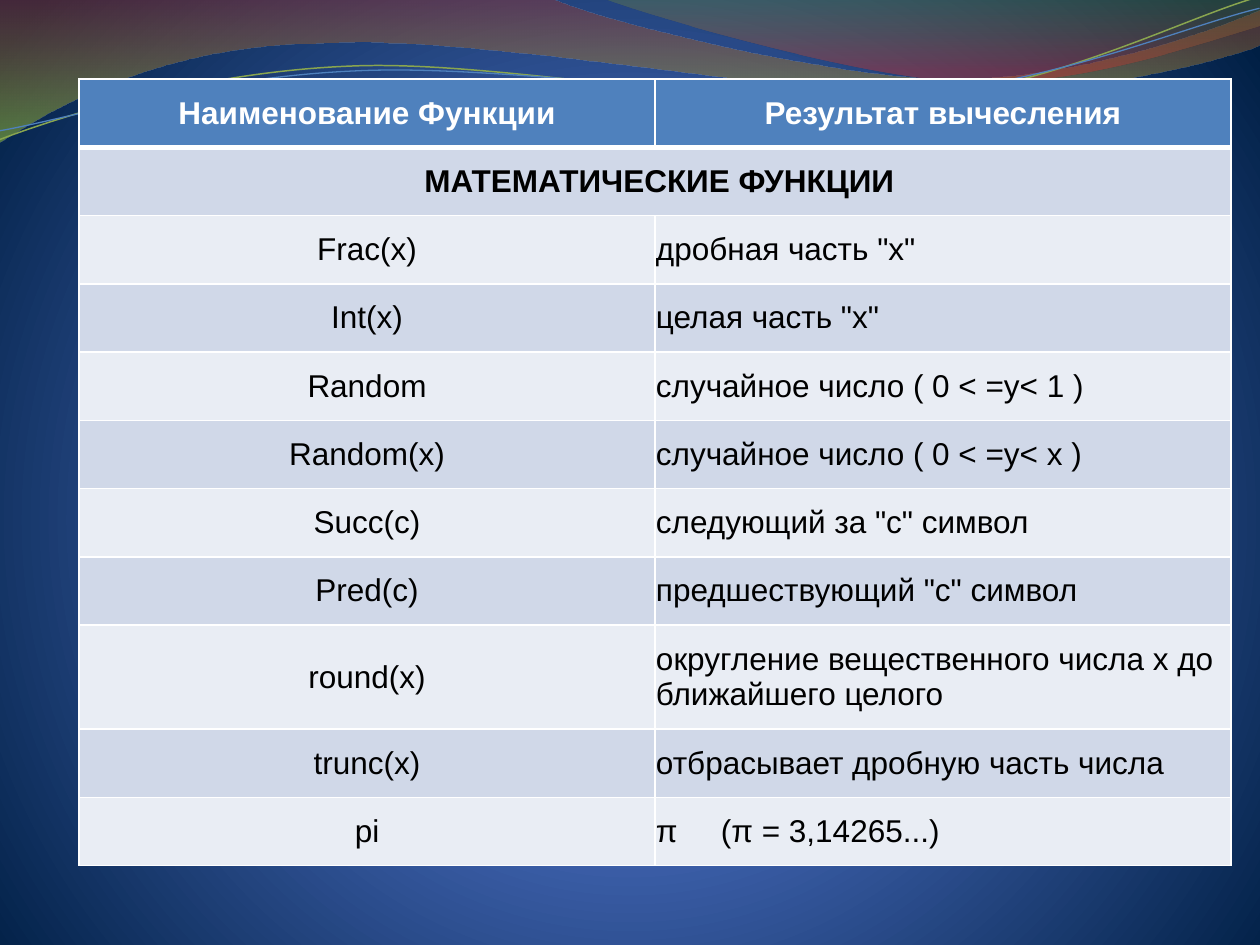
"""Build a slide with a table of mathematical functions over a wavy blue background."""
from dataclasses import dataclass

from lxml.etree import SubElement
from pptx import Presentation
from pptx.dml.color import RGBColor
from pptx.enum.text import MSO_ANCHOR as Anchor, PP_ALIGN as Align
from pptx.oxml.ns import qn
from pptx.util import Emu, Pt

EMU_PER_PX = 914400 / 126
SLIDE_WIDTH, SLIDE_HEIGHT = 1260, 945
TABLE_LEFT, TABLE_TOP, TABLE_WIDTH, TABLE_HEIGHT = 79, 79, 1152, 787
TALL_ROW, TALL_HEIGHT = 8, 104
CELL_MARGIN = 1
TAB_STOP = 65
FONT = "Arial"
COLORS = {
    "center": "4D75D6", "middle": "4E72C7", "edge": "001F44",
    "red": "973330", "green": "95C238", "olive": "769537", "crimson": "BE3330",
    "line_green": "89A54F", "line_blue": "4F81BD",
    "header": "4F81BD", "band_dark": "D0D8E8", "band_light": "E9EDF4",
    "white": "FFFFFF", "black": "000000",
}
ROWS = [
    ("Наименование Функции", "Результат вычесления"),
    (" МАТЕМАТИЧЕСКИЕ ФУНКЦИИ", ""),
    ("Frac(x)", 'дробная часть "х"'),
    ("Int(x)", 'целая часть "х"'),
    ("Random", "случайное число ( 0 < =y< 1 )"),
    ("Random(x)", "случайное число ( 0 < =y< x )"),
    ("Succ(c)", 'следующий за "с" символ'),
    ("Pred(c)", 'предшествующий "с" символ'),
    ("round(x)", "округление вещественного числа x до ближайшего целого"),
    ("trunc(x)", "отбрасывает дробную часть числа"),
    ("pi", "π\t(π = 3,14265...)"),
]


@dataclass
class Stop:
    position: int
    color: str
    opacity: int = 100


@dataclass
class Wave:
    """Outline whose segments hold one point (straight) or three points (cubic curve)."""
    start: tuple
    segments: list
    stops: tuple = ()
    line_color: str = ""
    line_width: float = 0
    rotation: float = 0


WAVES = [
    Wave((0, -1), [
        [(554, 0)],
        [(600, 21), (837, 79), (955, 79)],
        [(1075, 79), (1207, 33), (1260, 11)],
        [(1261, 45)],
        [(1239, 55), (1096, 96), (940, 95)],
        [(784, 95), (481, 35), (324, 43)],
        [(163, 44), (58, 105), (-1, 142)],
    ], stops=(Stop(0, "red", 45), Stop(100, "green", 55))),
    Wave((604, -1), [
        [(641, 14), (859, 78), (969, 82)],
        [(1079, 87), (1211, 40), (1260, 26)],
        [(1260, 0)],
    ], stops=(Stop(0, "olive", 30), Stop(80, "crimson", 45))),
    Wave((-3, 110), [
        [(58, 90), (199, 52), (350, 53)],
        [(499, 53), (745, 118), (896, 114)],
        [(1049, 109), (1184, 45), (1260, 27)],
    ], line_color="line_green", line_width=0.85, rotation=357.3),
    Wave((-2, 101), [
        [(57, 94), (207, 57), (357, 58)],
        [(509, 58), (750, 111), (902, 108)],
        [(1052, 104), (1188, 52), (1262, 38)],
    ], line_color="line_blue", line_width=0.75, rotation=357.3),
]


def px(length: float) -> Emu:
    """Turn px into EMU."""
    return Emu(round(length * EMU_PER_PX))


def rgb(name: str) -> RGBColor:
    """Look up a colour by name."""
    return RGBColor.from_string(COLORS[name])


def set_gradient(properties, stops: tuple, circular: bool = False) -> None:
    """Replace the solid fill of a properties element by a gradient."""
    solid = properties.find(qn("a:solidFill"))
    gradient = SubElement(properties, qn("a:gradFill"), rotWithShape="1")
    stop_list = SubElement(gradient, qn("a:gsLst"))
    for stop in stops:
        item = SubElement(stop_list, qn("a:gs"), pos=str(stop.position * 1000))
        color = SubElement(item, qn("a:srgbClr"), val=COLORS[stop.color])
        if stop.opacity < 100:
            SubElement(color, qn("a:alpha"), val=str(stop.opacity * 1000))
    if circular:
        direction = SubElement(gradient, qn("a:path"))
        direction.set("path", "circle")
        SubElement(direction, qn("a:fillToRect"), l="10000", t="110000", r="10000", b="100000")
    else:
        SubElement(gradient, qn("a:lin"), ang="5400000", scaled="0")
    properties.replace(solid, gradient)


def bend_segments(shape, segments: list) -> None:
    """Join each three line points of a curved segment into one cubic curve."""
    lines = iter(shape.element.findall(f".//{qn('a:lnTo')}"))
    for segment in segments:
        steps = [next(lines) for _ in segment]
        if len(steps) == 3:
            outline = steps[0].getparent()
            curve = SubElement(outline, qn("a:cubicBezTo"))
            outline.replace(steps[0], curve)
            for step in steps:
                curve.append(step[0])
            for step in steps[1:]:
                outline.remove(step)


def draw_wave(slide, wave: Wave) -> None:
    """Draw a filled wave or an open wavy line."""
    points = [(px(x), px(y)) for segment in wave.segments for x, y in segment]
    builder = slide.shapes.build_freeform(px(wave.start[0]), px(wave.start[1]))
    builder.add_line_segments(points, close=False)
    shape = builder.convert_to_shape()
    bend_segments(shape, wave.segments)
    shape.rotation = wave.rotation
    shape.shadow.inherit = False
    if wave.stops:
        SubElement(shape.element.find(f".//{qn('a:pathLst')}")[0], qn("a:close"))
        shape.fill.solid()
        set_gradient(shape.element.spPr, wave.stops)
        shape.line.fill.background()
    else:
        shape.fill.background()
        shape.line.color.rgb = rgb(wave.line_color)
        shape.line.width = Pt(wave.line_width)


def set_borders(cell, row: int) -> None:
    """Give a cell white borders, thick below the header."""
    properties = cell._tc.get_or_add_tcPr()
    thick_side = {0: "lnB", 1: "lnT"}.get(row)
    for side in ("lnL", "lnR", "lnT", "lnB"):
        width = Pt(3 if side == thick_side else 1)
        border = SubElement(properties, qn(f"a:{side}"), w=str(width))
        fill = SubElement(border, qn("a:solidFill"))
        SubElement(fill, qn("a:srgbClr"), val=COLORS["white"])


def fill_cell(cell, row: int, column: int, text: str) -> None:
    """Style a table cell and write its text."""
    set_borders(cell, row)
    cell.fill.solid()
    band = "band_dark" if row % 2 else "band_light"
    cell.fill.fore_color.rgb = rgb(band if row else "header")
    cell.vertical_anchor = Anchor.MIDDLE
    cell.margin_left = cell.margin_right = px(CELL_MARGIN)
    cell.margin_top = cell.margin_bottom = px(CELL_MARGIN)
    paragraph = cell.text_frame.paragraphs[0]
    paragraph.text = text
    paragraph.alignment = Align.CENTER if column == 0 or row == 0 else Align.LEFT
    if "\t" in text:
        tabs = SubElement(paragraph._p.get_or_add_pPr(), qn("a:tabLst"))
        SubElement(tabs, qn("a:tab"), pos=str(px(TAB_STOP)), algn="l")
    font = paragraph.font
    font.name, font.size, font.bold = FONT, Pt(18), row < 2
    font.color.rgb = rgb("black" if row else "white")


def draw_table(slide) -> None:
    """Draw the table of functions."""
    frame = slide.shapes.add_table(
        len(ROWS), 2, px(TABLE_LEFT), px(TABLE_TOP), px(TABLE_WIDTH), px(TABLE_HEIGHT))
    table = frame.table
    row_height = (TABLE_HEIGHT - TALL_HEIGHT) / (len(ROWS) - 1)
    for row, texts in enumerate(ROWS):
        table.rows[row].height = px(TALL_HEIGHT if row == TALL_ROW else row_height)
        for column, text in enumerate(texts):
            fill_cell(table.cell(row, column), row, column, text)
    table.cell(1, 0).merge(table.cell(1, 1))


def main() -> None:
    """Build and save the presentation."""
    presentation = Presentation()
    presentation.slide_width, presentation.slide_height = px(SLIDE_WIDTH), px(SLIDE_HEIGHT)
    slide = presentation.slides.add_slide(presentation.slide_layouts[6])
    slide.background.fill.solid()
    background = slide.element.find(f".//{qn('p:bgPr')}")
    set_gradient(background, (Stop(0, "center"), Stop(25, "middle"), Stop(100, "edge")), circular=True)
    for wave in WAVES:
        draw_wave(slide, wave)
    draw_table(slide)
    presentation.save("out.pptx")


if __name__ == "__main__":
    main()
